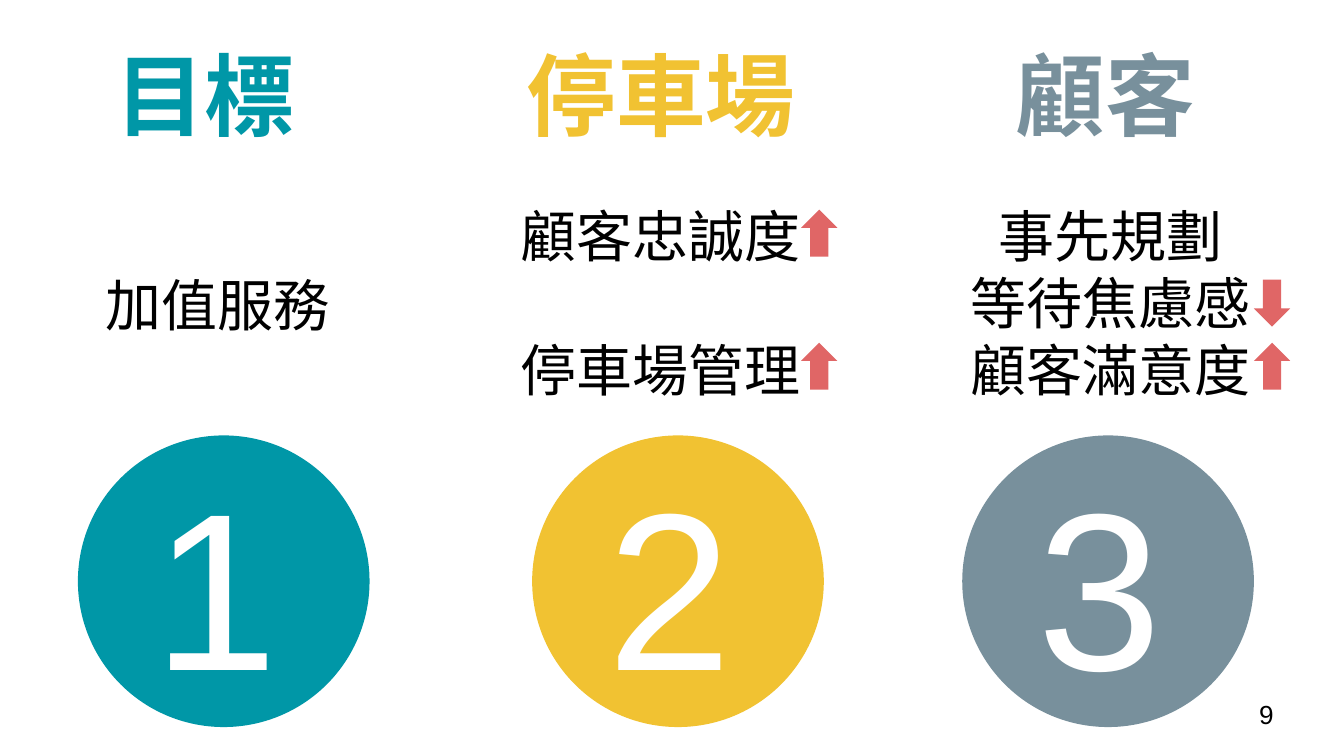
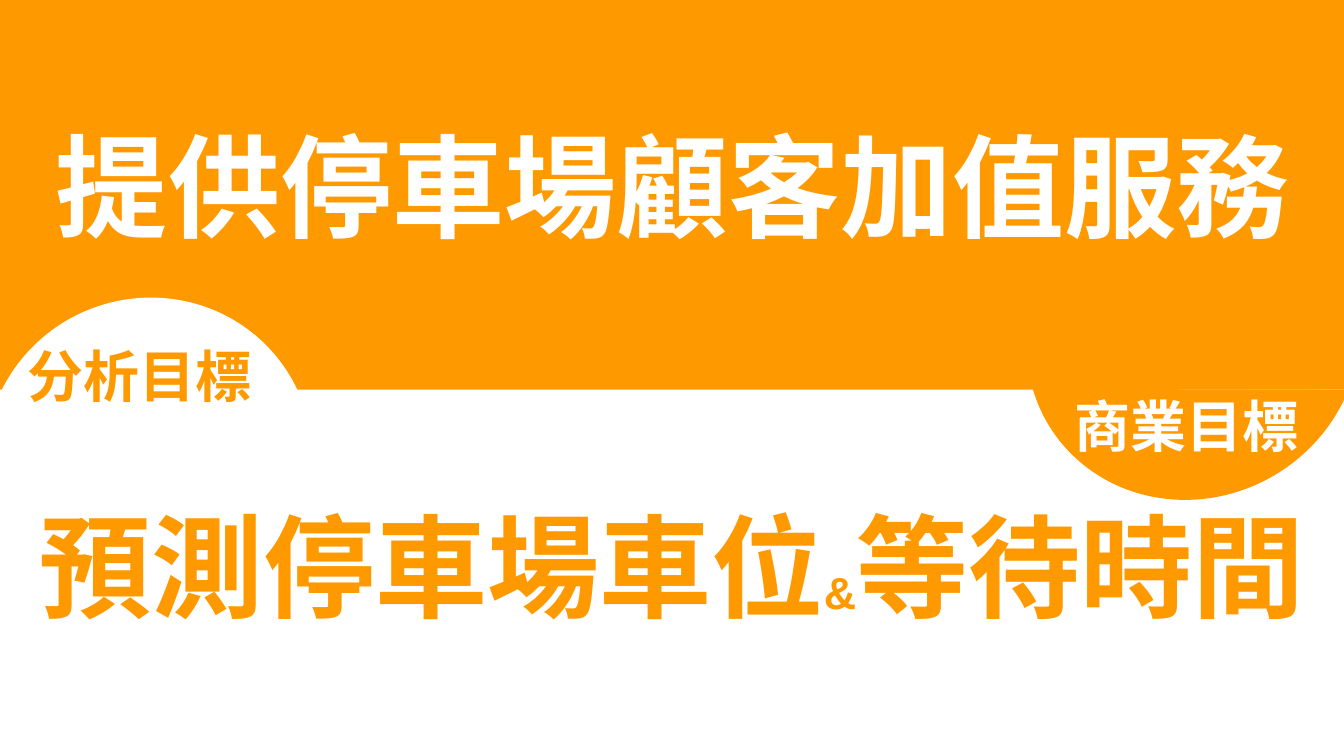
from pptx import Presentation
from pptx import util as u
from pptx.dml.color import RGBColor
from pptx.enum import shapes, text

FONT = "Arial"
TEAL = RGBColor(0x00, 0x97, 0xA7)
GOLD = RGBColor(0xF1, 0xC2, 0x32)
SLATE = RGBColor(0x78, 0x90, 0x9C)
RED = RGBColor(0xE0, 0x66, 0x66)
ORANGE = RGBColor(0xFF, 0x99, 0x00)
WHITE = RGBColor(0xFF, 0xFF, 0xFF)
BLACK = RGBColor(0x00, 0x00, 0x00)

MID = text.PP_ALIGN.CENTER
LEFT = text.PP_ALIGN.LEFT
KIND = shapes.MSO_SHAPE
WIDE = 10
HIGH = WIDE * 9 / 16
BAND = 2.9


def write(shape, lines, size=30, color=BLACK, bold=False, align=LEFT,
          middle=False, pad=0.1, space=None, gap=0):
    """Fill a shape with lines; a line is a string or a list of (text, size)."""
    frame = shape.text_frame
    frame.word_wrap = True
    frame.auto_size = text.MSO_AUTO_SIZE.NONE
    frame.vertical_anchor = (text.MSO_ANCHOR.MIDDLE if middle
                             else text.MSO_ANCHOR.TOP)
    frame.margin_left = frame.margin_right = u.Inches(0.1)
    frame.margin_top = frame.margin_bottom = u.Inches(pad)
    for i, line in enumerate(lines):
        para = frame.add_paragraph() if i else frame.paragraphs[0]
        para.alignment = align
        para.space_before = u.Pt(gap if i else 0)
        if space:
            para.line_spacing = space
        for words, points in [(line, size)] if isinstance(line, str) else line:
            run = para.add_run()
            run.text = words
            run.font.name = FONT
            run.font.size = u.Pt(points)
            run.font.bold = bold
            run.font.color.rgb = color


class Deck:
    def __init__(self):
        self.prs = Presentation()
        self.prs.slide_width = u.Inches(WIDE)
        self.prs.slide_height = u.Inches(HIGH)

    def page(self, titled=False):
        layout = self.prs.slide_layouts[5 if titled else 6]
        self.slide = self.prs.slides.add_slide(layout)
        self.home = self.slide.shapes

    def group(self):
        """Put the next elements in a new group."""
        self.home = self.slide.shapes.add_group_shape().shapes

    def leave(self):
        """Put the next elements on the slide itself."""
        self.home = self.slide.shapes

    def title(self, box, lines, **style):
        shape = self.slide.shapes.title
        shape.left, shape.top, shape.width, shape.height = map(u.Inches, box)
        write(shape, lines, **style)

    def label(self, box, lines, **style):
        write(self.home.add_textbox(*map(u.Inches, box)), lines, **style)

    def shape(self, kind, box, color, turn=0):
        item = self.home.add_shape(kind, *map(u.Inches, box))
        item.shadow.inherit = False
        item.fill.solid()
        item.fill.fore_color.rgb = color
        item.line.fill.background()
        item.rotation = turn
        return item

    def arrow(self, x, y, up=True):
        self.shape(KIND.DOWN_ARROW, (x, y, 0.27, 0.35), RED, 180 if up else 0)

    def chord(self, box, color, turn, ends):
        item = self.shape(KIND.CHORD, box, color, turn)
        item.adjustments[0], item.adjustments[1] = ends
        item.element.spPr.xfrm.set("flipH", "1")


def goals(deck):
    deck.page()
    columns = [
        (0.58, TEAL, "目標", (0.76, 1.57)),
        (3.96, GOLD, "停車場", (3.82, 2.32)),
        (7.16, SLATE, "顧客", (7.46, 1.57)),
    ]
    for num, (x, color, head, (left, width)) in enumerate(columns, 1):
        deck.group()
        deck.shape(KIND.OVAL, (x, 3.24, 2.17, 2.17), color)
        deck.label((x + 0.46, 3.22, 1.28, 1.52), [str(num)], size=120,
                   color=WHITE)
        deck.leave()
        deck.label((left, 0.2, width, 0.86), [head], size=48, color=color,
                   bold=True)

    deck.label((-0.01, 1.91, 3.25, 0.73), ["加值服務"], align=MID)
    deck.label((3.29, 1.4, 3.25, 1.67), ["顧客忠誠度", "停車場管理"],
               align=MID, gap=36)
    deck.label((6.86, 1.4, 2.81, 1.99),
               ["事先規劃", "等待焦慮感", "顧客滿意度"], align=MID)

    deck.arrow(9.33, 2.08, up=False)
    for x, y in [(9.33, 2.55), (5.96, 1.56), (5.96, 2.55)]:
        deck.arrow(x, y)
    deck.label((9.27, 5.1, 0.6, 0.43), ["9"], size=14, middle=True)


def targets(deck):
    deck.page(titled=True)
    deck.title((0, BAND, WIDE, HIGH - BAND),
               [[("預測停車場車位", 60), ("&", 24), ("等待時間", 60)]],
               color=ORANGE, bold=True, align=MID, middle=True, pad=0.05,
               space=0.9)
    band = deck.shape(KIND.RECTANGLE, (0, 0, WIDE, BAND), ORANGE)
    write(band, ["提供停車場顧客加值服務"], size=60, color=WHITE, bold=True,
          align=MID, middle=True, space=0.85)

    deck.chord((-0.1, 2.2, 2.41, 2.45), WHITE, 239.1, (49.79, 128.93))
    deck.label((0.11, 2.44, 2.06, 0.58), ["分析目標"], color=ORANGE, bold=True)
    deck.chord((7.69, 1.25, 2.38, 2.52), ORANGE, 58.4, (45.68, 131.8))
    deck.label((7.9, 2.81, 2.34, 0.58), ["商業目標"], color=WHITE, bold=True)


def main():
    deck = Deck()
    goals(deck)
    targets(deck)
    deck.prs.save("out.pptx")


if __name__ == "__main__":
    main()
